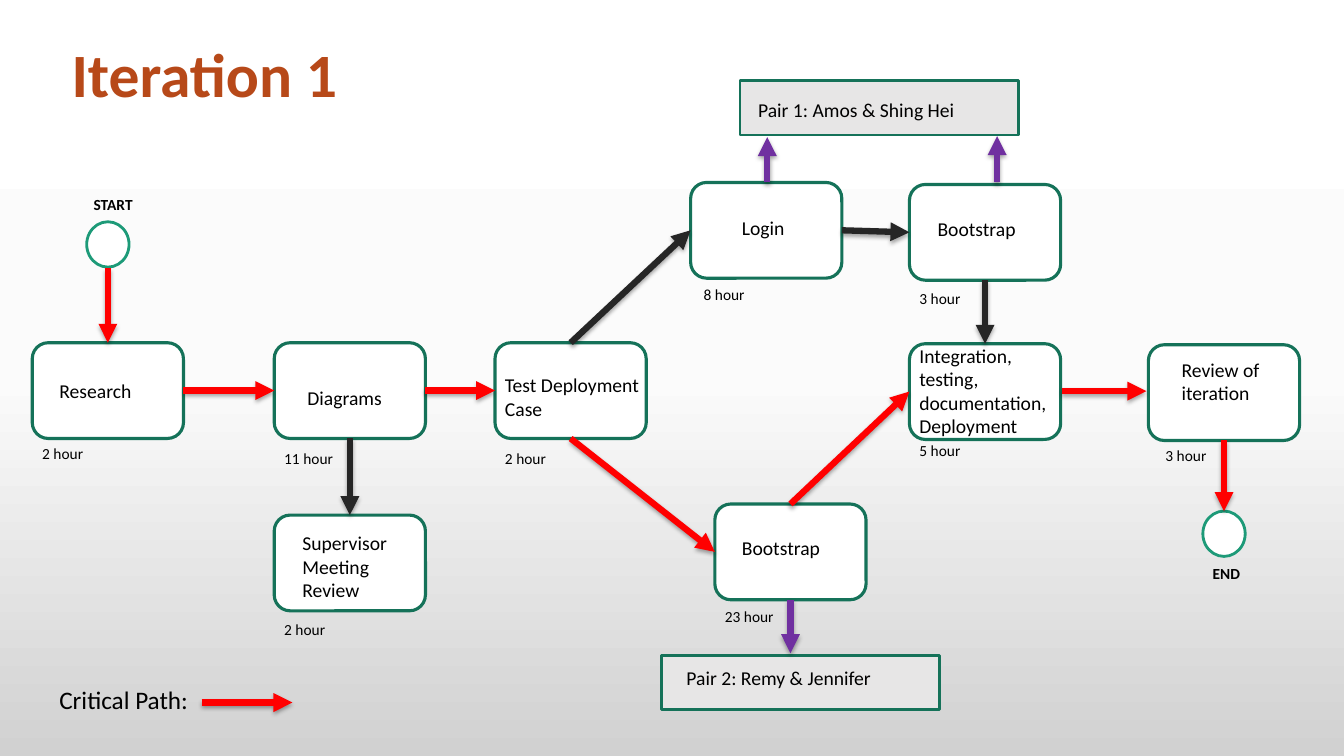
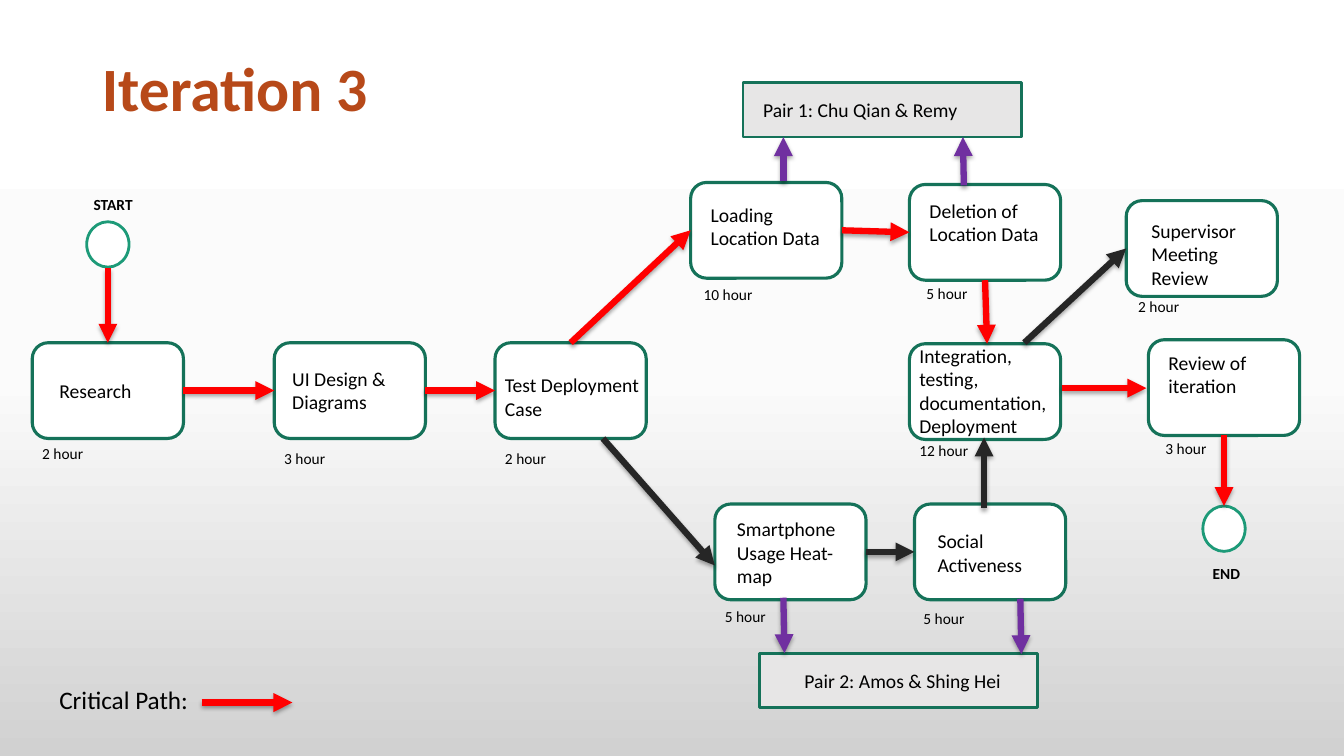
from copy import deepcopy

from lxml.etree import SubElement
from pptx import Presentation
from pptx.dml.color import RGBColor
from pptx.enum.shapes import MSO_CONNECTOR as Connector, MSO_SHAPE as Shape
from pptx.enum.text import MSO_ANCHOR as Anchor, MSO_AUTO_SIZE as AutoSize, PP_ALIGN as Align
from pptx.oxml.ns import qn
from pptx.util import Inches, Pt

COLORS = {
    "title": "B74919", "text": "000000",
    "box": "FFFFFF", "box_line": "157259", "circle_line": "1D9A78", "pair": "E7E6E6",
    "critical": "FF0000", "normal": "262626", "assign": "7030A0", "shadow": "000000",
}
BACKGROUND = [(0, "FFFFFF"), (0.5, "FBFBFB"), (1, "D1D1D1")]
FONT = "Calibri"
STEP_WIDTH, STEP_HEIGHT = 1.5, 0.95
TOP, LEFT, BOTTOM, RIGHT = range(4)  # connection sites of a step box


def color(name):
    return RGBColor.from_string(COLORS[name])


class Diagram:
    """Style of the network diagrams and the slide being drawn."""

    def __init__(self):
        self.presentation = Presentation()
        self.presentation.slide_width = Inches(13.33)
        self.presentation.slide_height = Inches(7.5)
        self.slide = None
        self.set_background()

    def set_background(self):
        master = self.presentation.slide_master
        fill = master.background.fill
        fill.gradient()
        fill.gradient_angle = 270
        stops = master.element.find(".//" + qn("a:gsLst"))
        stops.insert(1, deepcopy(stops[0]))
        for stop, (position, value) in zip(fill.gradient_stops, BACKGROUND):
            stop.position = position
            stop.color.rgb = RGBColor.from_string(value)

    def style(self, paragraph, size, bold=False, color_name="text"):
        paragraph.font.name = FONT
        paragraph.font.size = Pt(size)
        paragraph.font.bold = bold
        paragraph.font.color.rgb = color(color_name)

    def new_slide(self, title, left, top):
        self.slide = self.presentation.slides.add_slide(self.presentation.slide_layouts[5])
        shape = self.slide.shapes.title
        shape.left, shape.top = Inches(left), Inches(top)
        shape.width, shape.height = Inches(11.5), Inches(1.45)
        shape.text_frame.text = title
        shape.text_frame.vertical_anchor = Anchor.MIDDLE
        paragraph = shape.text_frame.paragraphs[0]
        paragraph.alignment = Align.LEFT
        paragraph.line_spacing = 0.9
        self.style(paragraph, 44, True, "title")

    def text(self, text, left, top, width, size=14, lines=1, bold=False):
        height = 0.1 + lines * size * 1.22 / 72
        shape = self.slide.shapes.add_textbox(
            Inches(left), Inches(top), Inches(width), Inches(height))
        frame = shape.text_frame
        frame.word_wrap = True
        frame.auto_size = AutoSize.SHAPE_TO_FIT_TEXT
        frame.text = text
        self.style(frame.paragraphs[0], size, bold)

    def outline(self, kind, left, top, width, height, fill="box", line="box_line", weight=2):
        shape = self.slide.shapes.add_shape(
            kind, Inches(left), Inches(top), Inches(width), Inches(height))
        shape.shadow.inherit = False
        shape.fill.solid()
        shape.fill.fore_color.rgb = color(fill)
        shape.line.color.rgb = color(line)
        shape.line.width = Pt(weight)
        return shape

    def step(self, left, top, label, shift, hours, hours_shift, lines=1, width=1.38):
        """Rounded box with its label and duration, both placed relative to the box."""
        box = self.outline(Shape.ROUNDED_RECTANGLE, left, top, STEP_WIDTH, STEP_HEIGHT,
                           weight=2.25)
        self.text(label, left + shift[0], top + shift[1], width, lines=lines)
        self.text(f"{hours} hour", left + hours_shift[0], top + hours_shift[1], 1.08, 11)
        return box

    def pair(self, left, top, label, shift):
        self.outline(Shape.RECTANGLE, left, top, 2.76, 0.54, "pair")
        self.text(label, left + shift[0], top + shift[1], 2.92)

    def terminal(self, label, left, top, label_left, label_top):
        self.outline(Shape.OVAL, left, top, 0.42, 0.45, line="circle_line")
        self.text(label, label_left, label_top, 0.67, 11, bold=True)

    def arrow(self, start, finish, color_name="critical"):
        """Each end is a point (x, y) or a step box with a connection site."""
        connector = self.slide.shapes.add_connector(Connector.STRAIGHT, 0, 0, 0, 0)
        if isinstance(start[0], (int, float)):
            connector.begin_x, connector.begin_y = map(Inches, start)
        else:
            connector.begin_connect(*start)
        if isinstance(finish[0], (int, float)):
            connector.end_x, connector.end_y = map(Inches, finish)
        else:
            connector.end_connect(*finish)
        connector.line.color.rgb = color(color_name)
        connector.line.width = Pt(4.5)
        # Arrowhead and soft shadow
        properties = connector.element.spPr
        SubElement(properties.find(qn("a:ln")), qn("a:tailEnd"), type="triangle")
        effects = SubElement(properties, qn("a:effectLst"))
        shadow = SubElement(effects, qn("a:outerShdw"), blurRad=str(Pt(3.1)),
                            dist=str(Pt(1.8)), dir="5400000", rotWithShape="0")
        shade = SubElement(shadow, qn("a:srgbClr"), val=COLORS["shadow"])
        SubElement(shade, qn("a:alpha"), val="35000")

    def main_path(self, design, design_shift, design_lines, design_hours,
                  integration_hours, review_top, review_shift, review_hours_shift, review_arrow_y):
        """Steps found in every iteration; returns those that branch off."""
        research = self.step(0.32, 3.4, "Research", (0.17, 0.31), 2, (0, 0.96))
        designing = self.step(2.72, 3.4, design, design_shift, design_hours, (0, 1.01),
                              design_lines)
        testing = self.step(4.91, 3.4, "Test Deployment Case", (0, 0.25), 2, (0, 1.01), 2, 1.66)
        integration = self.step(9.02, 3.41, "Integration, testing, documentation, Deployment",
                                (0, -0.05), integration_hours, (0, 0.92), 4, 1.5)
        review = self.step(11.39, review_top, "Review of iteration", review_shift, 3,
                           review_hours_shift, 2)
        end_top = review_top + 1.65
        self.terminal("START", 0.86, 2.2, 0.83, 1.89)
        self.terminal("END", 11.93, end_top, 11.93, 5.55)
        self.arrow((1.07, 2.66), (research, TOP))
        self.arrow((research, RIGHT), (designing, LEFT))
        self.arrow((designing, RIGHT), (testing, LEFT))
        self.arrow((10.53, review_arrow_y), (11.37, review_arrow_y))
        self.arrow((review, BOTTOM), (12.14, end_top))
        # Legend
        self.text("Critical Path:", 0.49, 6.74, 2.97, 18)
        self.arrow((2, 6.97), (2.9, 6.97))
        return designing, testing, integration


diagram = Diagram()

# Iteration 1
diagram.new_slide("Iteration 1", 0.61, 0.04)
diagram.pair(7.34, 0.8, "Pair 1: Amos & Shing Hei", (0.08, 0.12))
diagram.pair(6.56, 6.5, "Pair 2: Remy & Jennifer", (0.15, 0.06))
designing, testing, integration = diagram.main_path(
    "Diagrams", (0.23, 0.38), 1, 11, 5, 3.42, (0.23, 0.08), (0.07, 0.96), 3.88)
supervisor = diagram.step(2.72, 5.11, "Supervisor Meeting Review", (0.18, 0.11), 2, (0, 0.99), 3)
login = diagram.step(6.85, 1.81, "Login", (0.41, 0.28), 8, (0.03, 0.97))
upper_bootstrap = diagram.step(9.02, 1.83, "Bootstrap", (0.18, 0.27), 3, (0, 0.99))
lower_bootstrap = diagram.step(7.09, 5, "Bootstrap", (0.17, 0.27), 23, (0, 0.97))
diagram.arrow((testing, BOTTOM), (lower_bootstrap, LEFT))
diagram.arrow((lower_bootstrap, TOP), (integration, LEFT))
diagram.arrow((designing, BOTTOM), (supervisor, TOP), "normal")
diagram.arrow((testing, TOP), (login, LEFT), "normal")
diagram.arrow((login, RIGHT), (upper_bootstrap, LEFT), "normal")
diagram.arrow((upper_bootstrap, BOTTOM), (integration, TOP), "normal")
diagram.arrow((7.61, 1.81), (7.61, 1.36), "assign")
diagram.arrow((9.89, 1.81), (9.89, 1.35), "assign")
diagram.arrow((lower_bootstrap, BOTTOM), (7.84, 6.48), "assign")

# Iteration 3
diagram.new_slide("Iteration 3", 0.91, 0.18)
diagram.pair(7.37, 0.82, "Pair 1: Chu Qian & Remy", (0.1, 0.1))
diagram.pair(7.53, 6.48, "Pair 2: Amos & Shing Hei", (0.35, 0.11))
designing, testing, integration = diagram.main_path(
    "UI Design & Diagrams", (0.08, 0.19), 2, 3, 12, 3.37, (0.1, 0.06), (0.07, 0.94), 3.85)
supervisor = diagram.step(11.17, 1.99, "Supervisor Meeting Review", (0.15, 0.13), 2,
                          (0.02, 0.91), 3)
loading = diagram.step(6.85, 1.81, "Loading Location Data", (0.1, 0.15), 10, (0.03, 0.97), 2)
deletion = diagram.step(9.02, 1.83, "Deletion of Location Data", (0.1, 0.09), 5, (0.07, 0.94), 2)
heat_map = diagram.step(7.09, 5, "Smartphone Usage Heat-map", (0.12, 0.08), 5, (0, 0.97), 3)
social = diagram.step(9.07, 5, "Social Activeness", (0.13, 0.2), 5, (-0.01, 0.99), 2)
diagram.arrow((testing, TOP), (loading, LEFT))
diagram.arrow((loading, RIGHT), (deletion, LEFT))
diagram.arrow((deletion, BOTTOM), (9.79, 3.41))
diagram.arrow((10.16, 3.4), (supervisor, LEFT), "normal")
diagram.arrow((5.98, 4.35), (7.09, 5.61), "normal")
diagram.arrow((heat_map, RIGHT), (social, LEFT), "normal")
diagram.arrow((9.76, 5.04), (9.76, 4.34), "normal")
diagram.arrow((7.77, 1.8), (7.77, 1.36), "assign")
diagram.arrow((9.56, 1.84), (9.55, 1.36), "assign")
diagram.arrow((7.77, 5.93), (7.78, 6.48), "assign")
diagram.arrow((10.12, 5.94), (10.13, 6.49), "assign")

diagram.presentation.save("out.pptx")
